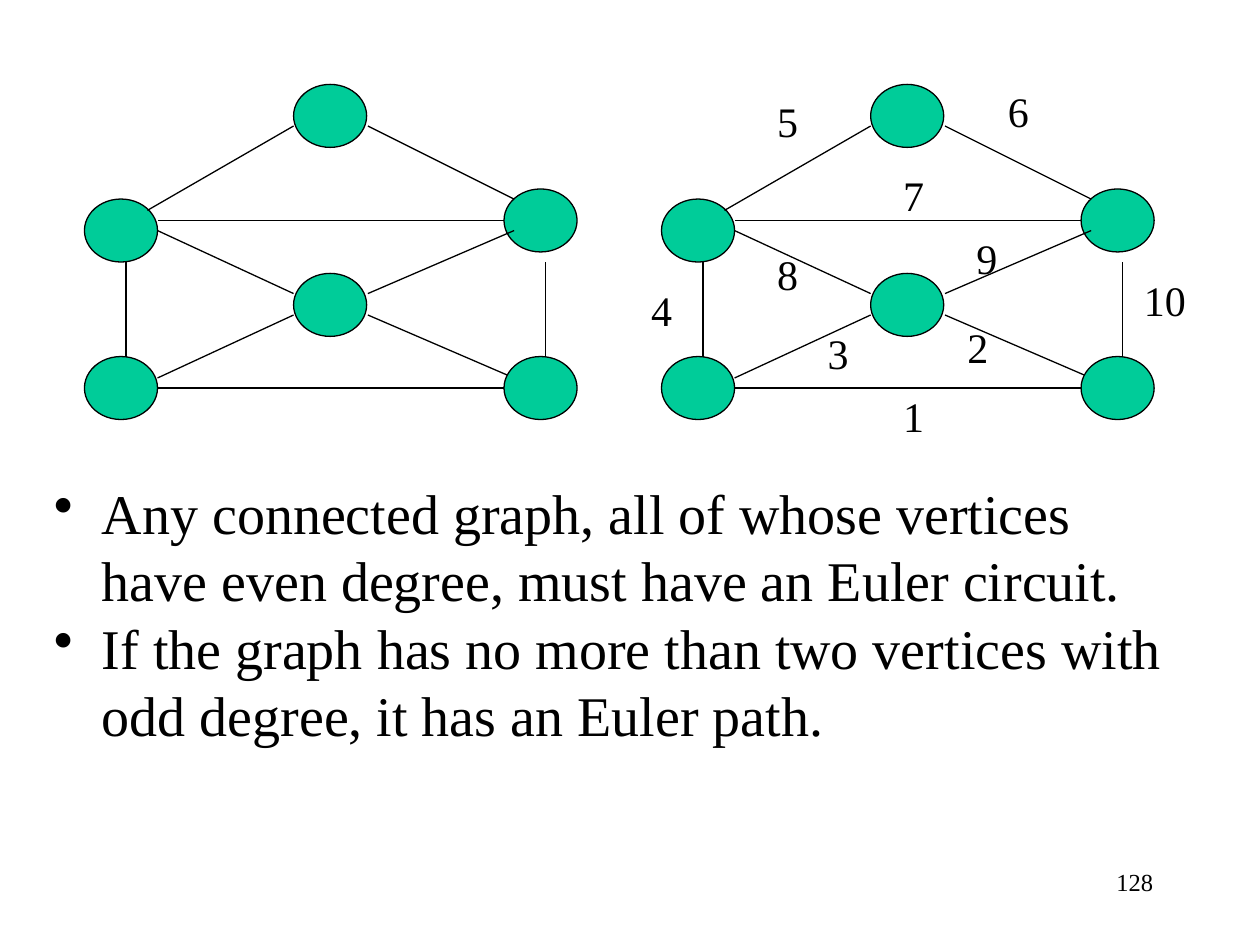
from dataclasses import dataclass

from lxml import etree
from pptx import Presentation
from pptx.dml.color import RGBColor
from pptx.enum.shapes import MSO_CONNECTOR, MSO_SHAPE
from pptx.enum.text import MSO_AUTO_SIZE, PP_ALIGN
from pptx.oxml.ns import qn
from pptx.util import Inches, Pt

STRAIGHT = MSO_CONNECTOR.STRAIGHT
OVAL = MSO_SHAPE.OVAL
FIT = MSO_AUTO_SIZE.SHAPE_TO_FIT_TEXT
RIGHT = PP_ALIGN.RIGHT


@dataclass(frozen=True)
class Theme:
    """Colours, font and type sizes of the slide."""
    ink: RGBColor = RGBColor(0, 0, 0)
    node: RGBColor = RGBColor(0x00, 0xCC, 0x99)
    font: str = "Times New Roman"
    body: int = 32
    label: int = 24
    page: int = 14
    line: float = 0.75


THEME = Theme()
NODE_SIZE = (0.58, 0.5)
GRAPH_STEP = 4.58
BACK_NODES = [(0.67, 1.58), (2.33, 2.17), (0.67, 2.83), (4, 1.5)]
FRONT_NODES = [(4, 2.83), (2.33, 0.67)]
EDGES = [
    (2.92, 2.5, 4.08, 3), (4.33, 2.08, 4.33, 2.92),
    (1.17, 1.67, 2.33, 1), (1.25, 3, 2.33, 2.5),
    (2.92, 1, 4.08, 1.58), (4, 3.08, 1.25, 3.08),
    (1, 2.08, 1, 2.83), (4, 1.75, 1.25, 1.75),
    (2.92, 2.33, 4.08, 1.83), (1.25, 1.83, 2.33, 2.33),
]
LABELS = [
    (7.07, 3.05), (7.58, 2.5), (6.47, 2.55), (5.07, 2.21), (6.07, 0.71),
    (7.9, 0.63), (7.07, 1.3), (6.07, 1.92), (7.65, 1.8), (8.98, 2.13),
]
POINTS = [
    "Any connected graph, all of whose vertices have even degree, "
    "must have an Euler circuit.",
    "If the graph has no more than two vertices with odd degree, "
    "it has an Euler path.",
]


def add_node(slide, x, y):
    """Draw one vertex."""
    node = slide.shapes.add_shape(OVAL, Inches(x), Inches(y),
                                  *map(Inches, NODE_SIZE))
    node.shadow.inherit = False
    node.fill.solid()
    node.fill.fore_color.rgb = THEME.node
    node.line.color.rgb = THEME.ink
    node.line.width = Pt(THEME.line)


def add_edge(slide, *ends):
    """Draw one edge between two points."""
    edge = slide.shapes.add_connector(STRAIGHT, *map(Inches, ends))
    edge.line.color.rgb = THEME.ink
    edge.line.width = Pt(THEME.line)
    etree.SubElement(edge._element.spPr, qn("a:effectLst"))


def add_graph(slide, dx):
    """Draw the whole graph, moved right by dx."""
    for x, y in BACK_NODES:
        add_node(slide, x + dx, y)
    for x1, y1, x2, y2 in EDGES:
        add_edge(slide, x1 + dx, y1, x2 + dx, y2)
    for x, y in FRONT_NODES:
        add_node(slide, x + dx, y)


def set_bullet(para):
    """Give a paragraph a hanging round bullet."""
    props = para._p.get_or_add_pPr()
    props.set("marL", str(Inches(0.38)))
    props.set("indent", str(Inches(-0.38)))
    etree.SubElement(props, qn("a:buChar"), char="•")


def add_text(slide, box, lines, size, align=None, bullet=False, wrap=True):
    """Add a text box with one paragraph for each line."""
    frame = slide.shapes.add_textbox(*map(Inches, box)).text_frame
    frame.word_wrap = wrap
    if not wrap:
        frame.auto_size = FIT
    frame.text = "\n".join(lines)
    for para in frame.paragraphs:
        if bullet:
            set_bullet(para)
        para.alignment = align
        para.font.name = THEME.font
        para.font.size = Pt(size)
        para.font.color.rgb = THEME.ink


def main():
    """Build and save the slide."""
    deck = Presentation()
    deck.slide_width, deck.slide_height = Inches(10), Inches(7.5)
    slide = deck.slides.add_slide(deck.slide_layouts[6])
    add_text(slide, (7.17, 6.83, 2.08, 0.5), ["128"], THEME.page, RIGHT)
    add_graph(slide, 0)
    add_text(slide, (0.33, 3.75, 9, 3.33), POINTS, THEME.body, bullet=True)
    add_graph(slide, GRAPH_STEP)
    for num, (x, y) in enumerate(LABELS, 1):
        wide = 0.37 if num < 10 else 0.53
        add_text(slide, (x, y, wide, 0.5), [str(num)], THEME.label, wrap=False)
    deck.save("out.pptx")


if __name__ == "__main__":
    main()
